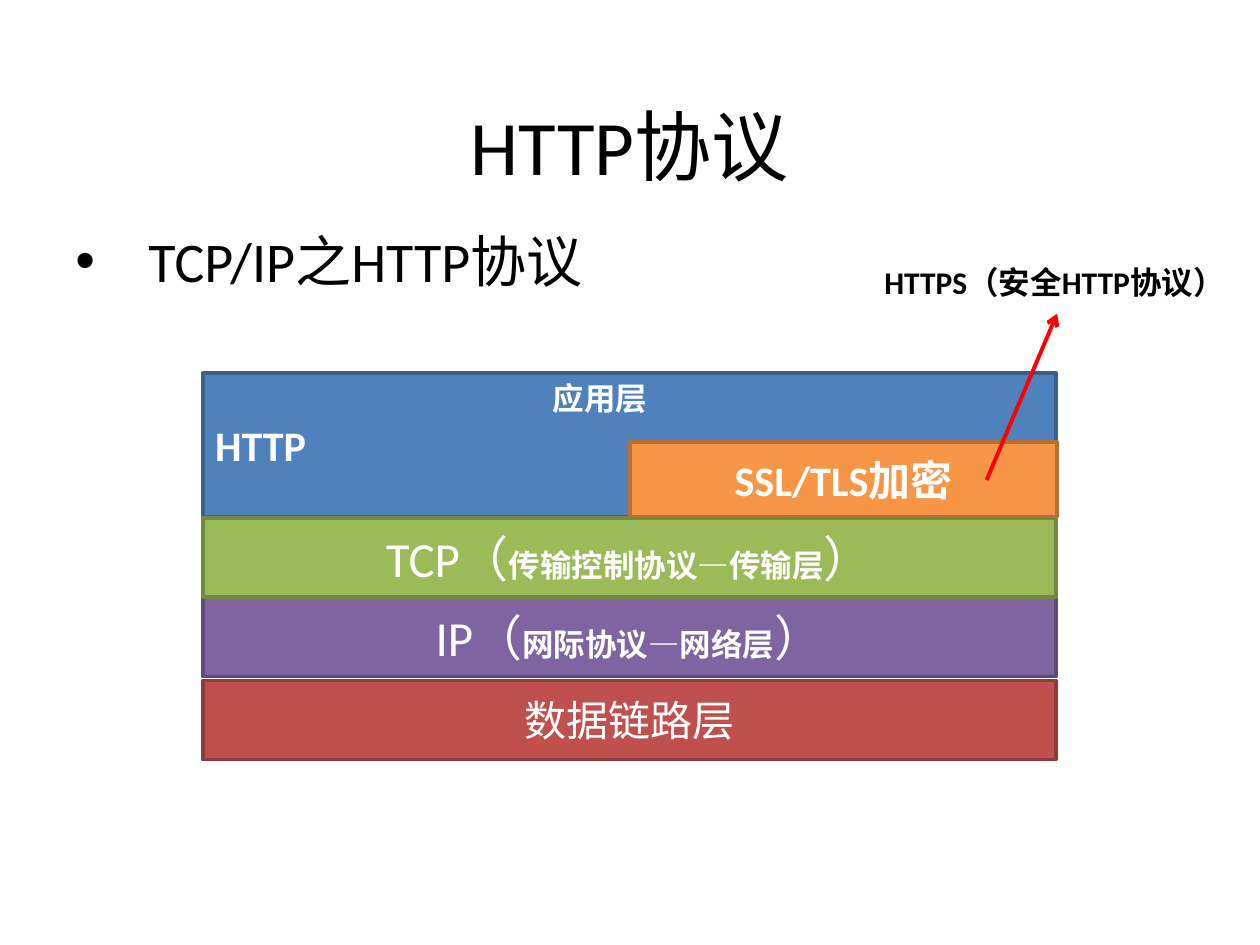
from lxml import etree
from pptx import Presentation
from pptx import util as u
from pptx.dml.color import RGBColor
from pptx.enum import shapes, text
from pptx.oxml.ns import qn

FONT = "Calibri"
WHITE, BLACK, RED = "FFFFFF", "000000", "FF0000"
LEFT, WIDE, ROW = 1.61, 6.77, 0.63
MID = text.MSO_ANCHOR.MIDDLE
CENTER, START = text.PP_ALIGN.CENTER, text.PP_ALIGN.LEFT


def rgb(code):
    return RGBColor.from_string(code)


def write(shape, runs, color, align=START, anchor=text.MSO_ANCHOR.TOP):
    """Fill a shape with one paragraph; runs are (words, size, bold)."""
    frame = shape.text_frame
    frame.word_wrap = True
    frame.vertical_anchor = anchor
    para = frame.paragraphs[0]
    para.alignment = align
    for words, size, bold in runs:
        run = para.add_run()
        run.text = words
        font = run.font
        font.name, font.size, font.bold = FONT, u.Pt(size), bold
        font.color.rgb = rgb(color)
    return para


def label(slide, box, runs, color=BLACK, **style):
    shape = slide.shapes.add_textbox(*map(u.Inches, box))
    return write(shape, runs, color, **style)


def layer(slide, box, fill, line, runs, align=CENTER):
    shape = slide.shapes.add_shape(
        shapes.MSO_SHAPE.RECTANGLE, *map(u.Inches, box))
    shape.shadow.inherit = False
    shape.fill.solid()
    shape.fill.fore_color.rgb = rgb(fill)
    shape.line.color.rgb = rgb(line)
    shape.line.width = u.Pt(2)
    write(shape, runs, WHITE, align, MID)


def bullet(para, indent):
    props = para._p.get_or_add_pPr()
    props.set("marL", str(u.Inches(indent)))
    props.set("indent", str(-u.Inches(indent)))
    etree.SubElement(props, qn("a:buFont")).set("typeface", "Arial")
    etree.SubElement(props, qn("a:buChar")).set("char", "•")


def arrow(slide, start, end, color):
    link = slide.shapes.add_connector(
        shapes.MSO_CONNECTOR.STRAIGHT, *map(u.Inches, start + end))
    link.line.color.rgb = rgb(color)
    link.line.width = u.Pt(2.25)
    props = link._element.spPr
    etree.SubElement(props.find(qn("a:ln")), qn("a:tailEnd")).set("type", "arrow")
    etree.SubElement(props, qn("a:effectLst"))


def main():
    deck = Presentation()
    deck.slide_width, deck.slide_height = u.Inches(10), u.Inches(7.5)
    slide = deck.slides.add_slide(deck.slide_layouts[6])

    # Application layer, behind everything else
    layer(slide, (LEFT, 2.96, WIDE, 1.14), "4F81BD", "3A5F8C",
          [("HTTP", 24, True)], START)

    # Title and topic
    label(slide, (0.5, 0.52, 9, 1.25), [("HTTP协议", 44, False)],
          align=CENTER, anchor=MID)
    topic = label(slide, (0.5, 1.75, 9, 4.95), [("TCP/IP之HTTP协议", 32, False)])
    bullet(topic, 0.58)

    # Lower layers, from the bottom up
    rows = [
        (5.4, "C0504D", "8E3B39", [("数据链路层", 24, False)]),
        (4.74, "8064A2", "5F4A78",
         [("IP（", 28, False), ("网际协议—网络层", 18, True), ("）", 28, False)]),
        (4.11, "9BBB59", "738A42",
         [("TCP（", 28, False), ("传输控制协议—传输层", 18, True), ("）", 28, False)]),
    ]
    for top, fill, line, runs in rows:
        layer(slide, (LEFT, top, WIDE, ROW), fill, line, runs)

    # Encryption and its note
    layer(slide, (5, 3.51, 3.39, 0.59), "F79646", "B76F34",
          [("SSL/TLS加密", 24, True)])
    arrow(slide, (7.83, 3.81), (8.39, 2.49), RED)
    label(slide, (6.92, 2.04, 2.93, 0.4), [("HTTPS（安全HTTP协议）", 18, True)])
    label(slide, (4.29, 2.96, 1.65, 0.4), [("应用层", 18, True)], WHITE)

    deck.save("out.pptx")


if __name__ == "__main__":
    main()
